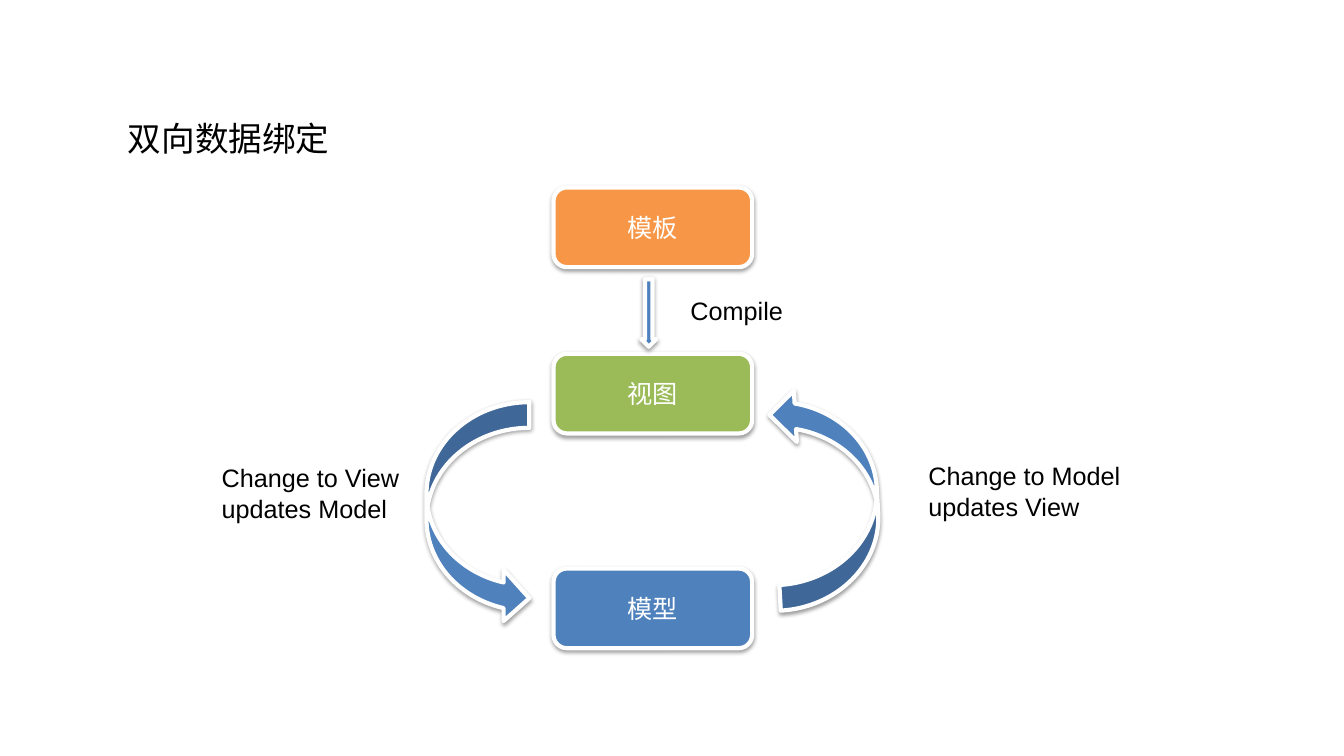
from dataclasses import dataclass

from lxml import etree
from pptx import Presentation
from pptx import util as u
from pptx.dml.color import RGBColor
from pptx.enum import shapes, text
from pptx.oxml import ns

MSO = shapes.MSO_SHAPE


@dataclass(frozen=True)
class Theme:
    ink: str = "000000"
    white: str = "FFFFFF"
    orange: str = "F79646"
    green: str = "9BBB59"
    blue: str = "4F81BD"
    label_font: str = "Arial"
    box_font: str = "Calibri"
    title_size: int = 24
    body_size: int = 18
    outline: int = 3


@dataclass(frozen=True)
class Block:
    kind: MSO
    left: float
    top: float
    width: float
    height: float
    fill: str
    caption: str = ""
    rotation: float = 0


@dataclass(frozen=True)
class Label:
    left: float
    top: float
    width: float
    height: float
    lines: tuple[str, ...]
    size: int


THEME = Theme()
BOX = dict(kind=MSO.ROUNDED_RECTANGLE, left=5.49, width=1.97, height=0.79)
LOOP = dict(kind=MSO.CURVED_RIGHT_ARROW, width=1.02, height=2.2, fill=THEME.blue)

BLOCKS = (
    Block(**BOX, top=1.86, fill=THEME.orange, caption="模板"),
    Block(**BOX, top=3.51, fill=THEME.green, caption="视图"),
    Block(**BOX, top=5.64, fill=THEME.blue, caption="模型"),
    Block(**LOOP, left=4.23, top=3.99),
    Block(**LOOP, left=7.68, top=3.83, rotation=176.7),
    Block(MSO.DOWN_ARROW, 6.36, 2.77, 0.15, 0.67, THEME.blue),
)

LABELS = (
    Label(1.17, 1.12, 2.22, 0.5, ("双向数据绑定",), THEME.title_size),
    Label(6.75, 2.88, 1.13, 0.4, ("Compile",), THEME.body_size),
    Label(2.1, 4.54, 1.98, 0.71, ("Change to View", "updates Model"), THEME.body_size),
    Label(9.11, 4.52, 2.12, 0.71, ("Change to Model", "updates View"), THEME.body_size),
)


def frame(item: Block | Label) -> tuple[u.Length, ...]:
    return tuple(u.Inches(v) for v in (item.left, item.top, item.width, item.height))


def style_font(p, name: str, size: int, color: str) -> None:
    p.font.name = name
    p.font.size = u.Pt(size)
    p.font.color.rgb = RGBColor.from_string(color)


def add_shadow(sp) -> None:
    sp.shadow.inherit = False
    effects = sp._element.spPr.find(ns.qn("a:effectLst"))
    shadow = etree.SubElement(
        effects, ns.qn("a:outerShdw"), blurRad=str(u.Pt(3.1)), dist=str(u.Pt(1.6)),
        dir="5400000", rotWithShape="0",
    )
    color = etree.SubElement(shadow, ns.qn("a:srgbClr"), val=THEME.ink)
    etree.SubElement(color, ns.qn("a:alpha"), val="38000")


def add_block(s, block: Block) -> None:
    sp = s.shapes.add_shape(block.kind, *frame(block))
    sp.rotation = block.rotation
    sp.fill.solid()
    sp.fill.fore_color.rgb = RGBColor.from_string(block.fill)
    sp.line.color.rgb = RGBColor.from_string(THEME.white)
    sp.line.width = u.Pt(THEME.outline)
    add_shadow(sp)
    if block.caption:
        tf = sp.text_frame
        tf.vertical_anchor = text.MSO_ANCHOR.MIDDLE
        p = tf.paragraphs[0]
        p.text = block.caption
        p.alignment = text.PP_ALIGN.CENTER
        style_font(p, THEME.box_font, THEME.body_size, THEME.white)


def add_label(s, label: Label) -> None:
    tf = s.shapes.add_textbox(*frame(label)).text_frame
    tf.word_wrap = False
    tf.auto_size = text.MSO_AUTO_SIZE.SHAPE_TO_FIT_TEXT
    tf.text = "\n".join(label.lines)
    for p in tf.paragraphs:
        style_font(p, THEME.label_font, label.size, THEME.ink)


def main() -> None:
    prs = Presentation()
    prs.slide_width, prs.slide_height = u.Inches(13.33), u.Inches(7.5)
    s = prs.slides.add_slide(prs.slide_layouts[6])
    for block in BLOCKS:
        add_block(s, block)
    for label in LABELS:
        add_label(s, label)
    prs.save("out.pptx")


if __name__ == "__main__":
    main()
